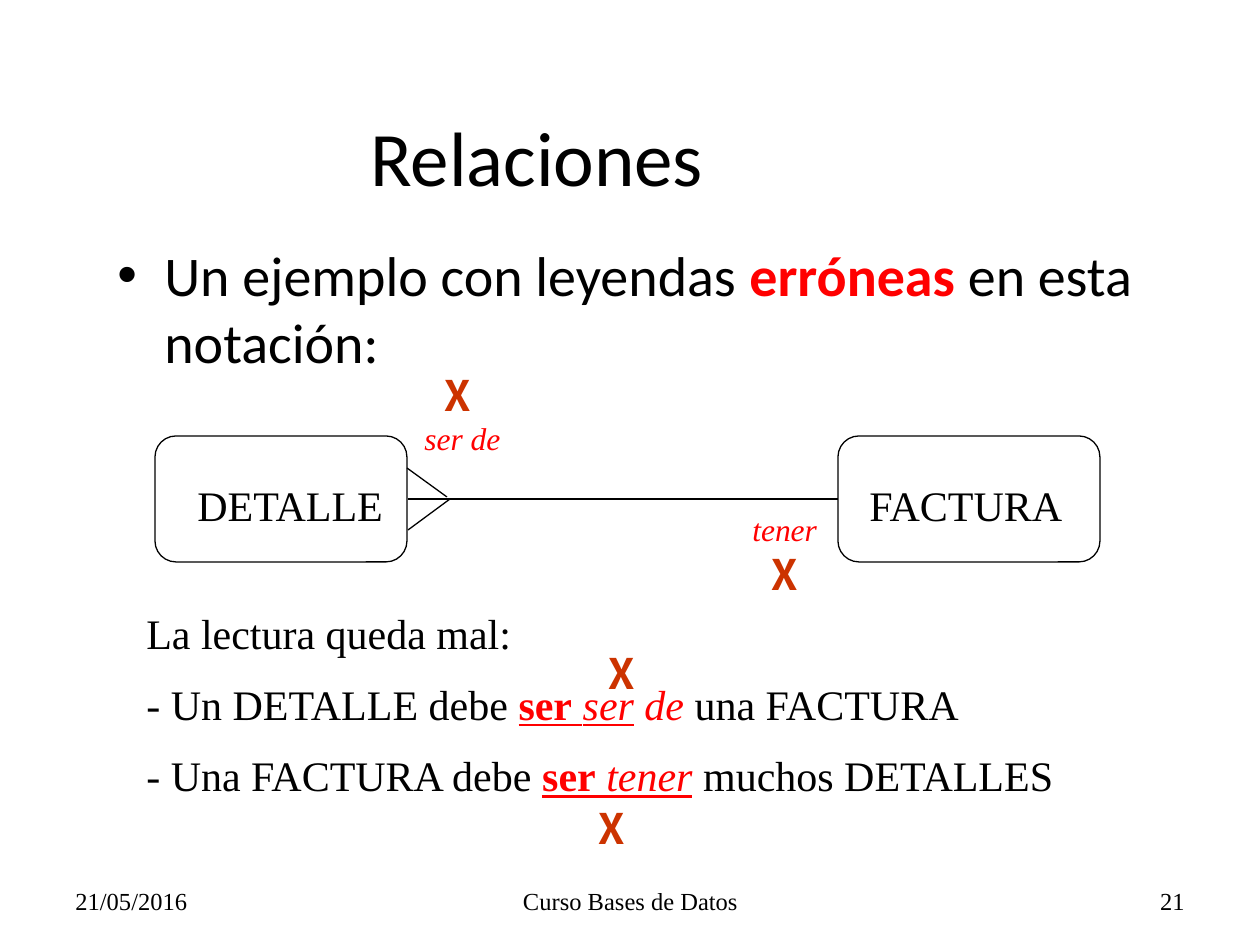
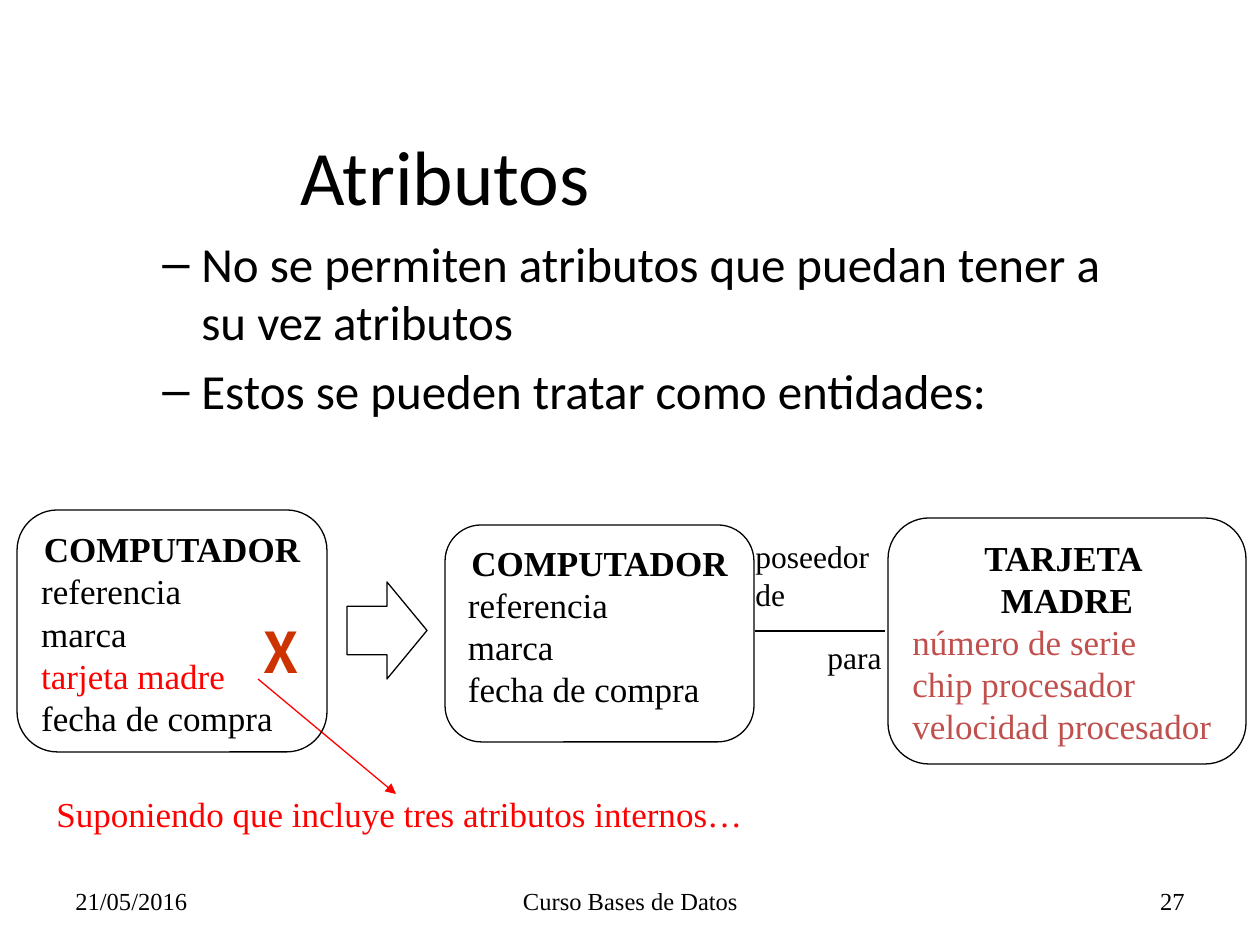
from lxml.etree import SubElement
from pptx import Presentation
from pptx.dml.color import RGBColor
from pptx.enum.shapes import MSO_CONNECTOR, MSO_SHAPE
from pptx.enum.text import MSO_ANCHOR, PP_ALIGN
from pptx.oxml.ns import qn
from pptx.util import Emu, Pt

PX_PER_INCH = 126
BLACK = RGBColor(0x00, 0x00, 0x00)
RED = RGBColor(0xFF, 0x00, 0x00)
CROSS_RED = RGBColor(0xCC, 0x33, 0x00)
BRICK = RGBColor(0xC0, 0x50, 0x4D)
SANS, SERIF, CROSS_FONT = "Calibri", "Times New Roman", "Noto Sans CJK SC"
LEFT, CENTER, RIGHT = PP_ALIGN.LEFT, PP_ALIGN.CENTER, PP_ALIGN.RIGHT


def px(n):
    return Emu(round(n * 914400 / PX_PER_INCH))


def write(p, runs, size, font=SERIF, color=BLACK, align=LEFT):
    """Fill a paragraph; runs is a text or a list of (text, style, color)."""
    if isinstance(runs, str):
        runs = [(runs, "", color)]
    p.alignment = align
    for text, style, run_color in runs:
        r = p.add_run()
        r.text = text
        r.font.size, r.font.name = Pt(size), font
        r.font.bold = "b" in style
        r.font.italic = "i" in style
        r.font.underline = "u" in style
        r.font.color.rgb = run_color


def paragraphs(tf, count):
    return [tf.paragraphs[0]] + [tf.add_paragraph() for _ in range(count - 1)]


def text_box(slide, box, lines, size, font=SERIF, color=BLACK, align=LEFT,
             anchor=MSO_ANCHOR.TOP, wrap=True, gap=0):
    tf = slide.shapes.add_textbox(*map(px, box)).text_frame
    tf.word_wrap = wrap
    tf.vertical_anchor = anchor
    for i, (p, runs) in enumerate(zip(paragraphs(tf, len(lines)), lines)):
        write(p, runs, size, font, color, align)
        if i and gap:
            p.space_before = Pt(gap)
    return tf


def bullet_list(slide, box, lines, size, char, margin, hang):
    tf = text_box(slide, box, lines, size, SANS, gap=size * 0.2)
    for p in tf.paragraphs:
        pPr = p._p.get_or_add_pPr()
        pPr.set("marL", str(px(margin)))
        pPr.set("indent", str(-px(hang)))
        SubElement(pPr, qn("a:buFont")).set("typeface", "Arial")
        SubElement(pPr, qn("a:buChar")).set("char", char)


def outline(slide, kind, box):
    sp = slide.shapes.add_shape(kind, *map(px, box))
    sp.shadow.inherit = False
    sp.fill.background()
    sp.line.color.rgb = BLACK
    sp.line.width = Pt(0.75)
    return sp


def line(slide, x1, y1, x2, y2, color=BLACK, arrow=False):
    cxn = slide.shapes.add_connector(MSO_CONNECTOR.STRAIGHT,
                                     *map(px, (x1, y1, x2, y2)))
    cxn.line.color.rgb = color
    cxn.line.width = Pt(0.75)
    if arrow:
        SubElement(cxn.line._get_or_add_ln(), qn("a:tailEnd")).set("type", "triangle")
    SubElement(cxn._element.spPr, qn("a:effectLst"))


def cross(slide, x, y, size=24):
    """Mark an error with a bold X."""
    text_box(slide, (x, y, size * 2 - 2, size * 8 // 3), [[("X", "b", CROSS_RED)]],
             size, CROSS_FONT, wrap=False)


def entity(slide, box, heading, attributes):
    """Rounded box with bold heading lines above (attribute, color) lines."""
    tf = outline(slide, MSO_SHAPE.ROUNDED_RECTANGLE, box).text_frame
    tf.word_wrap = True
    tf.vertical_anchor = MSO_ANCHOR.TOP
    ps = paragraphs(tf, len(heading) + len(attributes))
    for p, text in zip(ps, heading):
        write(p, [(text, "b", BLACK)], 20, align=CENTER)
    for p, (text, color) in zip(ps[len(heading):], attributes):
        write(p, text, 20, color=color)


def new_slide(prs, title, title_x, title_y, number):
    """Blank slide with the shared title style and footer."""
    slide = prs.slides.add_slide(prs.slide_layouts[6])
    footer = ((63, 294, "21/05/2016", LEFT),
              (431, 399, "Curso Bases de Datos", CENTER),
              (903, 294, number, RIGHT))
    for x, width, text, align in footer:
        text_box(slide, (x, 876, width, 50), [text], 14, align=align,
                 anchor=MSO_ANCHOR.MIDDLE)
    text_box(slide, (title_x, title_y, 1134, 158), [title], 44, SANS,
             align=CENTER, anchor=MSO_ANCHOR.MIDDLE)
    return slide


def relation_diagram(slide, x, y):
    """Two entities joined by a line with a crow's foot."""
    for dx, width, text_dx, text_width, name in ((0, 252, 30, 214, "DETALLE"),
                                                 (683, 262, 702, 222, "FACTURA")):
        outline(slide, MSO_SHAPE.ROUNDED_RECTANGLE, (x + dx, y, width, 126))
        text_box(slide, (x + text_dx, y + 37, text_width, 63), [name], 24, wrap=False)
    line(slide, x + 253, y + 63, x + 683, y + 63)
    line(slide, x + 253, y + 94, x + 295, y + 63)
    line(slide, x + 252, y + 32, x + 292, y + 61)
    # Relation labels and their error marks
    text_box(slide, (x + 257, y - 23, 139, 50), [[("ser de", "i", RED)]], 18)
    text_box(slide, (x + 585, y + 68, 91, 50), [[("tener", "i", RED)]], 18, wrap=False)
    cross(slide, x + 277, y - 73)
    cross(slide, x + 604, y + 106)


def wrong_reading(slide, x, y):
    text_box(slide, (x, y, 973, 292), [
        "La lectura queda mal:",
        [("- Un DETALLE debe ", "", BLACK), ("ser", "bu", RED), (" ", "u", RED),
         ("ser", "iu", RED), (" de", "i", RED), (" una FACTURA", "", BLACK)],
        [("- Una FACTURA debe ", "", BLACK), ("ser", "bu", RED), (" ", "u", RED),
         ("tener", "iu", RED), (" muchos DETALLES", "", BLACK)],
    ], 24, gap=12)
    cross(slide, x + 462, y + 40)
    cross(slide, x + 452, y + 195)


def relations_slide(prs):
    slide = new_slide(prs, "Relaciones", -30, 77, "21")
    bullet_list(slide, (105, 234, 1071, 567),
                [[("Un ejemplo con leyendas ", "", BLACK), ("erróneas", "b", RED),
                  (" en esta notación:", "", BLACK)]], 32, "•", 47, 47)
    relation_diagram(slide, 155, 436)
    wrong_reading(slide, 134, 601)


def nested_attribute(slide, x, y):
    """Entity with the forbidden composite attribute, and its remark."""
    cross(slide, x + 234, y + 101, 32)
    line(slide, x + 241, y + 169, x + 379, y + 284, RED, arrow=True)
    text_box(slide, (x + 27, y + 276, 922, 54),
             ["Suponiendo que incluye tres atributos internos…"], 20, color=RED)
    entity(slide, (x, y, 310, 242), ["COMPUTADOR"],
           [("referencia", BLACK), ("marca", BLACK), ("tarjeta madre", RED),
            ("fecha de compra", BLACK)])


def split_entities(slide, x, y):
    """The same data as two related entities."""
    entity(slide, (x, y, 309, 217), ["COMPUTADOR"],
           [(text, BLACK) for text in ("referencia", "marca", "fecha de compra")])
    entity(slide, (x + 443, y - 7, 358, 246), ["TARJETA ", "MADRE"],
           [(text, BRICK) for text in ("número de serie", "chip procesador",
                                       "velocidad procesador")])
    line(slide, x + 310, y + 106, x + 440, y + 106)
    text_box(slide, (x + 349, y + 107, 100, 50), ["para"], 18, align=RIGHT)
    text_box(slide, (x + 298, y + 6, 159, 89), ["poseedor de"], 18)


def attributes_slide(prs):
    slide = new_slide(prs, "Atributos", -122, 96, "27")
    bullet_list(slide, (87, 227, 1071, 237),
                ["No se permiten atributos que puedan tener a su vez atributos",
                 "Estos se pueden tratar como entidades:"], 28, "–", 102, 39)
    nested_attribute(slide, 17, 510)
    outline(slide, MSO_SHAPE.RIGHT_ARROW, (347, 582, 80, 97))
    split_entities(slide, 445, 525)


def main():
    prs = Presentation()
    prs.slide_width, prs.slide_height = px(1260), px(945)
    relations_slide(prs)
    attributes_slide(prs)
    prs.save("out.pptx")


if __name__ == "__main__":
    main()
